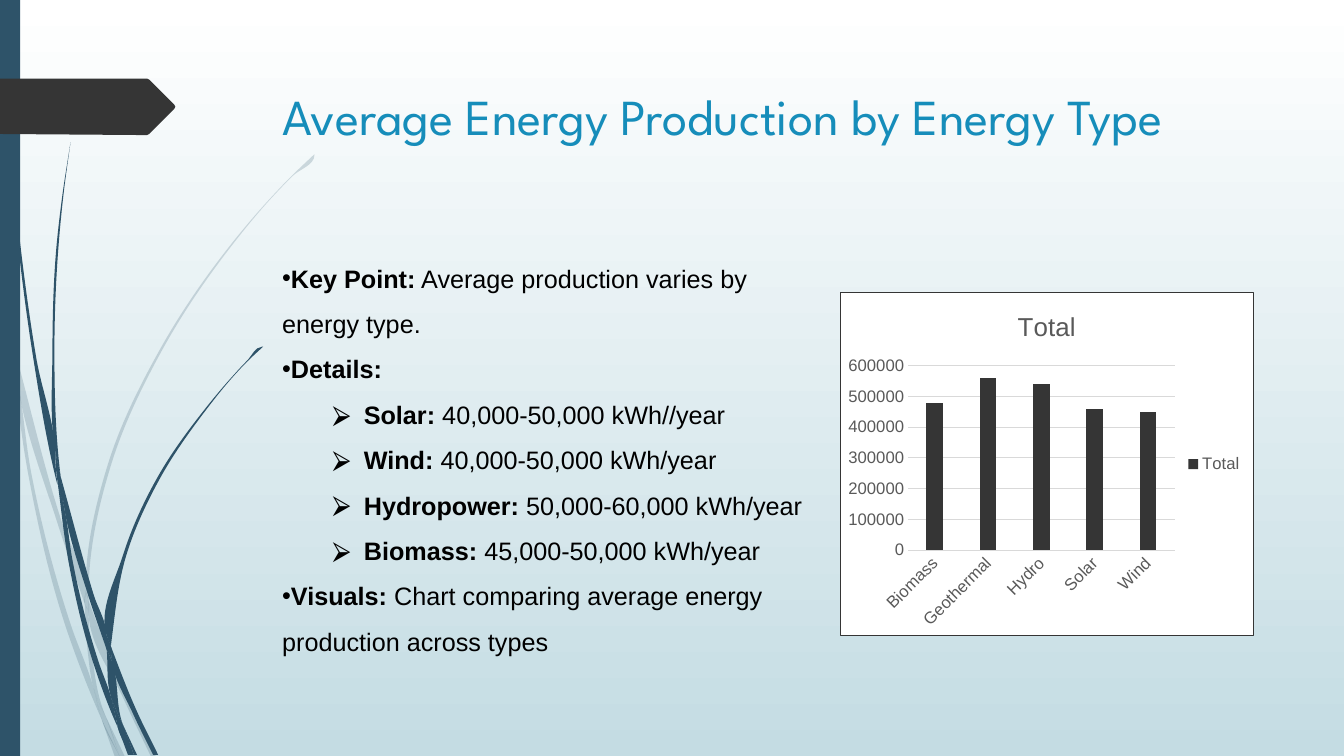
from lxml import etree
from pptx import Presentation, util as u
from pptx.chart.data import CategoryChartData
from pptx.dml.color import RGBColor
from pptx.enum import chart as ch, shapes, text
from pptx.oxml import parse_xml
from pptx.oxml.ns import nsdecls, qn

TITLE = "Average Energy Production by Energy Type"
# (level, bold lead, plain rest)
POINTS = [
    (0, "Key Point:", " Average production varies by energy type."),
    (0, "Details:", ""),
    (1, "Solar:", " 40,000-50,000 kWh//year"),
    (1, "Wind: ", "40,000-50,000 kWh/year"),
    (1, "Hydropower:", " 50,000-60,000 kWh/year"),
    (1, "Biomass: ", "45,000-50,000 kWh/year"),
    (0, "Visuals: ", "Chart comparing average energy production across types"),
]
# level: (bullet, left margin, first-line indent) in inches
BULLETS = {0: ("•", 0, -0.12), 1: ("⮚", 0.81, -0.31)}
PRODUCTION = {"Biomass": 480000, "Geothermal": 560000, "Hydro": 540000,
              "Solar": 460000, "Wind": 450000}

# Grass: the knots of each closed, curved piece, in inches
PALE_GRASS = [
    [(0.11, 3.5), (0.09, 3.22), (0, 2.82), (0, 2.99), (0.1, 3.44)],
    [(0.58, 5.22), (0.84, 5.99), (0.85, 5.86), (0.62, 5.2), (0.14, 3.45),
     (0.17, 3.76)],
    [(0.92, 6.07), (0.88, 5.96), (0.88, 6.1), (1.23, 6.94), (1.5, 7.51),
     (1.55, 7.51), (1.27, 6.92)],
    [(1.19, 7.51), (1.24, 7.51), (1.05, 7.11)],
    [(0.93, 6.83), (0.7, 6.19), (0.31, 4.69), (0.17, 3.76), (0.11, 3.5),
     (0.28, 4.7), (0.65, 6.21), (0.92, 6.93), (1.01, 7.14), (0.99, 7.07)],
    [(0.84, 5.99), (0.87, 6.46), (0.93, 6.83), (0.96, 6.92), (1.05, 7.11),
     (1.03, 7.06), (0.91, 6.46), (0.88, 6.1), (0.88, 6.08)],
    [(0.88, 5.84), (1.1, 4.62), (1.6, 3.49), (2.29, 2.45), (2.68, 1.98),
     (2.9, 1.75), (3.12, 1.54), (3.12, 1.53), (2.89, 1.75), (2.68, 1.97),
     (2.28, 2.44), (1.58, 3.48), (1.07, 4.61), (0.85, 5.84), (0.85, 5.86),
     (0.88, 5.96)],
    [(1.01, 7.14), (1.14, 7.51), (1.19, 7.51)],
    [(0.88, 6.08), (0.88, 6.1), (0.88, 5.96), (0.85, 5.86), (0.84, 5.99)],
    [(0.96, 6.92), (0.93, 6.83), (0.99, 7.07), (1.01, 7.14), (1.19, 7.51),
     (1.05, 7.11)],
]
DARK_GRASS = [
    [(0.07, 1.1), (0.17, 2.33), (0.33, 3.55), (0.56, 4.77), (0.57, 4.81),
     (0.55, 4.57), (0.55, 4.53), (0.36, 3.55), (0.19, 2.32), (0.08, 1.09),
     (0.05, 0.48), (0.04, 0), (0.03, 0), (0.04, 0.48)],
    [(0.88, 5.92), (1.06, 6.45), (1.06, 6.33), (1.06, 6.31), (0.93, 5.9),
     (0.6, 4.72), (0.64, 5.05)],
    [(1.13, 6.49), (1.1, 6.41), (1.11, 6.56), (1.32, 7.08), (1.52, 7.49),
     (1.57, 7.49), (1.36, 7.06)],
    [(1.1, 6.91), (0.98, 6.57), (0.72, 5.56), (0.64, 5.05), (0.57, 4.77),
     (0.68, 5.57), (0.93, 6.59), (1.11, 7.08), (1.17, 7.22), (1.16, 7.17)],
    [(0.6, 4.72), (0.58, 4.53), (0.54, 3.49), (0.58, 2.45), (0.63, 1.93),
     (0.7, 1.41), (0.62, 1.93), (0.56, 2.45), (0.52, 3.49), (0.55, 4.49)],
    [(1.33, 7.49), (1.36, 7.49), (1.22, 7.19)],
    [(0.57, 4.77), (0.64, 5.05), (0.6, 4.72), (0.55, 4.49), (0.55, 4.53)],
    [(1.11, 6.33), (1.25, 5.52), (1.58, 4.76), (2.05, 4.06), (2.31, 3.74),
     (2.45, 3.59), (2.61, 3.44), (2.6, 3.44), (2.45, 3.58), (2.31, 3.73),
     (2.04, 4.05), (1.56, 4.74), (1.22, 5.51), (1.06, 6.31), (1.1, 6.41)],
    [(1.17, 7.22), (1.27, 7.49), (1.31, 7.49)],
    [(1.06, 6.45), (1.1, 6.91), (1.16, 7.06), (1.22, 7.19), (1.21, 7.16),
     (1.11, 6.56), (1.09, 6.51)],
    [(1.06, 6.45), (1.09, 6.51), (1.11, 6.56), (1.1, 6.41), (1.06, 6.31),
     (1.06, 6.33)],
    [(1.16, 7.06), (1.1, 6.91), (1.16, 7.17), (1.17, 7.22), (1.3, 7.49),
     (1.33, 7.49), (1.22, 7.19)],
]
TAG = [(1.73, 1.08), (1.48, 1.33), (1.46, 1.34), (1.36, 1.34), (0, 1.33),
       (0, 0.78), (1.36, 0.78), (1.46, 0.78), (1.48, 0.79), (1.73, 1.04),
       (1.74, 1.06)]

WHITE = RGBColor(0xFF, 0xFF, 0xFF)
MIST = RGBColor(0xC4, 0xDC, 0xE3)
NAVY = RGBColor(0x2E, 0x53, 0x69)
CHARCOAL = RGBColor(0x35, 0x35, 0x35)
BLUE = RGBColor(0x16, 0x8D, 0xBA)
BLACK = RGBColor(0, 0, 0)
GREY = RGBColor(0x59, 0x59, 0x59)
RULE = RGBColor(0xD9, 0xD9, 0xD9)


def inch(value):
    return u.Cm(value * 2.54)


def place(shape, *area):
    shape.left, shape.top, shape.width, shape.height = map(inch, area)


def style(font, size, color, name="Arial", bold=False):
    font.size, font.name, font.bold = u.Pt(size), name, bold
    font.color.rgb = color


def paint(shape, color, alpha=None):
    shape.shadow.inherit = False
    shape.fill.solid()
    shape.fill.fore_color.rgb = color
    shape.line.fill.background()
    if alpha:
        tone = shape.fill._xPr.find(".//" + qn("a:srgbClr"))
        etree.SubElement(tone, qn("a:alpha"), val=str(alpha * 1000))


def outline(slide, points, color, alpha=None):
    start, *rest = [(inch(x), inch(y)) for x, y in points]
    builder = slide.shapes.build_freeform(*start)
    builder.add_line_segments(rest + [start], close=True)
    shape = builder.convert_to_shape()
    paint(shape, color, alpha)
    return shape


def curve(shape):
    """Turn straight sides into Bezier curves, keeping sharp corners."""
    sides = list(shape._element.iter(qn("a:lnTo")))
    knots = [complex(int(pt.get("x")), int(pt.get("y")))
             for pt in (side[0] for side in sides)]
    steps = [knot - knots[i - 1] for i, knot in enumerate(knots)]
    arrive, leave = [], []
    for before, after in zip(steps, steps[1:] + steps[:1]):
        near, far = before / abs(before), after / abs(after)
        if (near * far.conjugate()).real > 0.5:
            blend = near * abs(after) + far * abs(before)
            near = far = blend / abs(blend)
        arrive.append(near)
        leave.append(far)
    for i, side in enumerate(sides):
        reach = abs(steps[i]) / 3
        side.tag = qn("a:cubicBezTo")
        for handle in (knots[i] - arrive[i] * reach,
                       knots[i - 1] + leave[i - 1] * reach):
            side.insert(0, side.makeelement(qn("a:pt"), {
                "x": str(round(handle.real)), "y": str(round(handle.imag))}))


def add_scenery(slide):
    fill = slide.background.fill
    fill.gradient()
    fill.gradient_angle = 270
    for stop, color, position in zip(fill.gradient_stops, (WHITE, MIST), (0, 1)):
        stop.color.rgb, stop.position = color, position
    for grass, alpha in ((PALE_GRASS, 20), (DARK_GRASS, None)):
        for piece in grass:
            curve(outline(slide, piece, NAVY, alpha))
    rail = slide.shapes.add_shape(shapes.MSO_SHAPE.RECTANGLE,
                                  0, 0, inch(0.2), inch(7.5))
    paint(rail, NAVY)
    outline(slide, TAG, CHARCOAL)


def add_text(slide):
    title, body = slide.shapes.title, slide.placeholders[1]
    place(title, 2.7, 0.79, 9.75, 1.4)
    title.text_frame.text = TITLE
    title.text_frame.vertical_anchor = text.MSO_ANCHOR.TOP
    para = title.text_frame.paragraphs[0]
    para.alignment = text.PP_ALIGN.LEFT
    style(para.runs[0].font, 36, BLUE, "League Spartan")

    place(body, 2.7, 2.42, 5.48, 4.13)
    frame = body.text_frame
    frame.vertical_anchor = text.MSO_ANCHOR.MIDDLE
    frame.text = "\n".join(lead for _, lead, _ in POINTS)
    for para, (level, _, rest) in zip(frame.paragraphs, POINTS):
        para.level, para.line_spacing = level, 1.5
        para.space_before = para.space_after = u.Pt(0)
        style(para.runs[0].font, 18, BLACK, bold=True)
        if rest:
            span = para.add_run()
            span.text = rest
            style(span.font, 18, BLACK)
        mark, margin, indent = BULLETS[level]
        props = para._p.get_or_add_pPr()
        props.set("marL", str(inch(margin)))
        props.set("indent", str(inch(indent)))
        tint = etree.SubElement(props, qn("a:buClr"))
        etree.SubElement(tint, qn("a:srgbClr"), val=str(BLACK))
        etree.SubElement(props, qn("a:buChar"), char=mark)


def add_production_chart(slide):
    data = CategoryChartData(number_format="General")
    data.categories = list(PRODUCTION)
    data.add_series("Total", list(PRODUCTION.values()))
    area = map(inch, (8.33, 2.9, 4.11, 3.41))
    chart = slide.shapes.add_chart(ch.XL_CHART_TYPE.COLUMN_CLUSTERED,
                                   *area, data).chart
    style(chart.font, 10, BLACK)
    chart.has_title = True
    chart.chart_title.text_frame.text = "Total"
    style(chart.chart_title.text_frame.paragraphs[0].runs[0].font, 18.6, GREY)
    chart.has_legend = True
    chart.legend.position = ch.XL_LEGEND_POSITION.RIGHT
    chart.legend.include_in_layout = False
    style(chart.legend.font, 11.9, GREY)
    plot = chart.plots[0]
    plot.gap_width, plot.overlap, plot.vary_by_categories = 219, -27, False
    plot.series[0].format.fill.solid()
    plot.series[0].format.fill.fore_color.rgb = CHARCOAL

    types, values = chart.category_axis, chart.value_axis
    for axis in (types, values):
        axis.major_tick_mark = axis.minor_tick_mark = ch.XL_TICK_MARK.NONE
        style(axis.tick_labels.font, 11.9, GREY)
        axis._element.find(qn("c:txPr"))[0].set("rot", "-60000000")
    values.format.line.fill.background()
    for line in (types.format.line, values.major_gridlines.format.line):
        line.color.rgb, line.width = RULE, u.Pt(0.75)
    # White chart area with a thin border
    chart._chartSpace.find(qn("c:txPr")).addprevious(parse_xml(
        f'<c:spPr {nsdecls("c", "a")}>'
        f'<a:solidFill><a:srgbClr val="{WHITE}"/></a:solidFill>'
        f'<a:ln w="{u.Pt(0.75)}"><a:solidFill><a:srgbClr val="{CHARCOAL}"/>'
        '</a:solidFill></a:ln></c:spPr>'))


deck = Presentation()
deck.slide_width, deck.slide_height = u.Cm(33.87), u.Cm(19.05)
page = deck.slides.add_slide(deck.slide_layouts[1])
add_scenery(page)
add_text(page)
add_production_chart(page)
deck.save("out.pptx")
